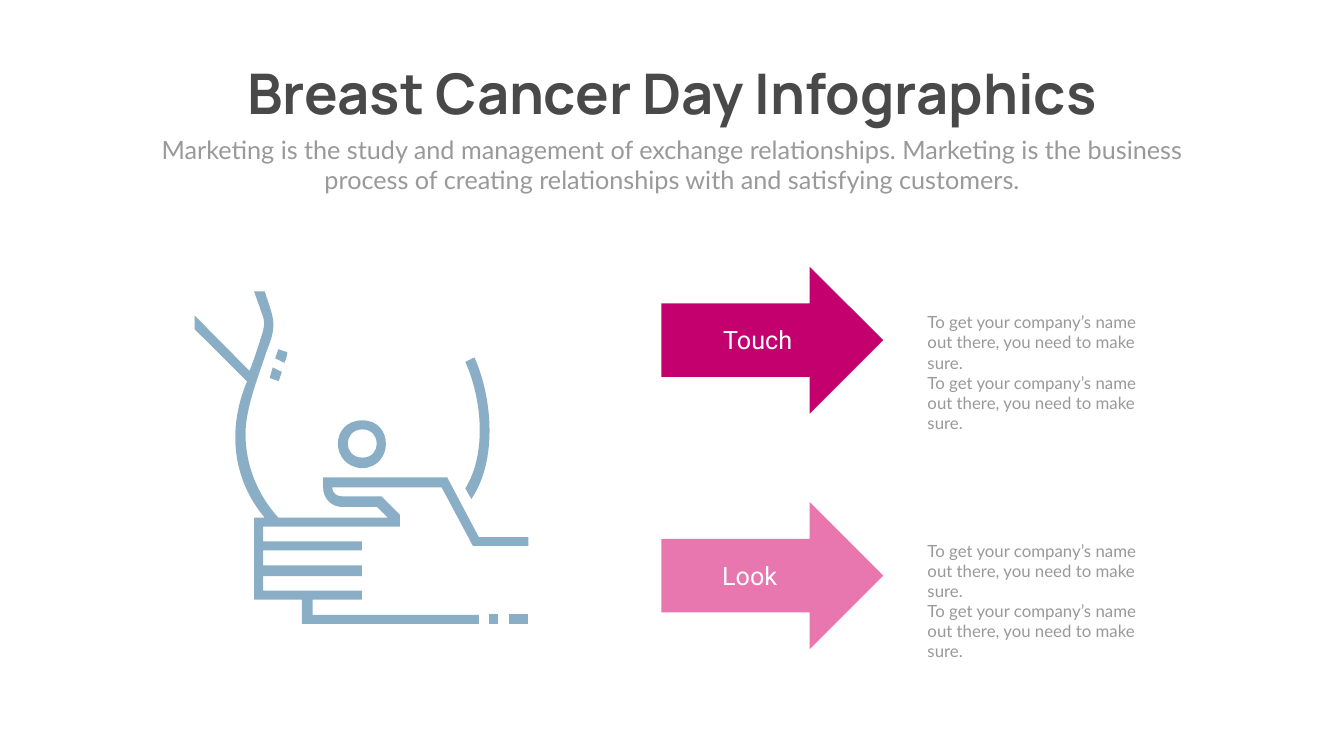
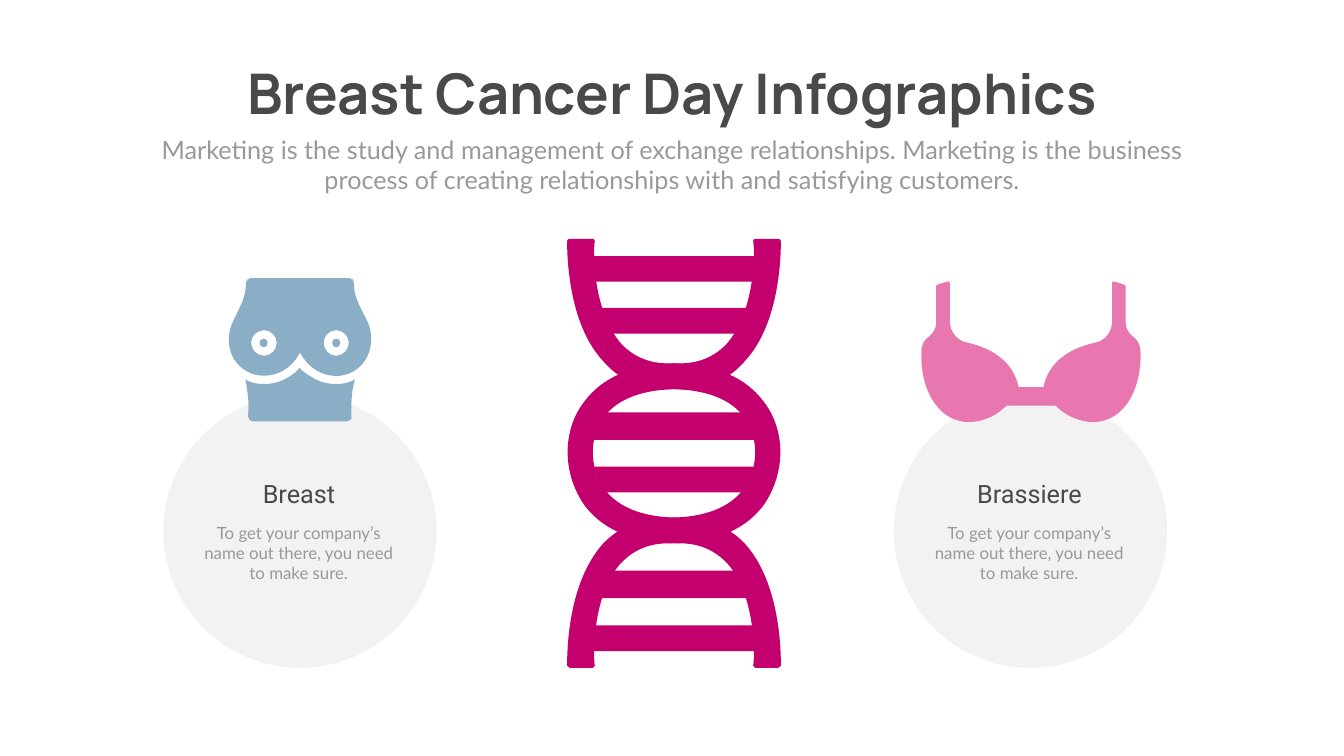
from dataclasses import dataclass
from typing import Iterator, Optional

from pptx import Presentation
from pptx.dml.color import RGBColor
from pptx.enum import shapes, text
from pptx.oxml.ns import qn
from pptx.util import Inches, Pt

# Shared colours and wording
BLUE, MAGENTA, PINK = "8AAEC5", "C4006E", "E876AF"
DARK, GREY, PALE, WHITE = "494949", "999999", "F2F2F2", "FFFFFF"
TITLE = "Breast Cancer Day Infographics"
SUBTITLE = ("Marketing is the study and management of exchange relationships. "
            "Marketing is the business process of creating relationships with "
            "and satisfying customers.")
BODY = "To get your company’s name out there, you need to make sure."
FRAME_FORMAT = {
    "word_wrap": True,
    "auto_size": text.MSO_AUTO_SIZE.SHAPE_TO_FIT_TEXT,
    "vertical_anchor": text.MSO_ANCHOR.TOP,
    "margin_left": Inches(0.1), "margin_right": Inches(0.1),
    "margin_top": Inches(0.05), "margin_bottom": Inches(0.05),
}


@dataclass(frozen=True)
class Box:
    left: float
    top: float
    width: float
    height: float

    def lengths(self) -> list[int]:
        return [Inches(v) for v in (self.left, self.top, self.width, self.height)]


@dataclass(frozen=True)
class TextStyle:
    font: str
    size: float
    color: str
    bold: bool = False
    align: text.PP_ALIGN = text.PP_ALIGN.CENTER


@dataclass(frozen=True)
class Outline:
    """Contours start with M; L and C switch between lines and curves.

    axis is the x position of a vertical mirror line.
    """
    points: str
    axis: Optional[float] = None


@dataclass(frozen=True)
class Vertex:
    x: int
    y: int
    curved: bool


@dataclass(frozen=True)
class Step:
    name: str
    color: str
    arrow: Box
    label: Box
    body: Box


@dataclass(frozen=True)
class Topic:
    name: str
    left: float


HEADING = TextStyle("Manrope", 80, DARK, bold=True)
SUBHEADING = TextStyle("Lato", 36, GREY)
ARROW_LABEL = TextStyle("Roboto", 36, WHITE)
TOPIC_LABEL = TextStyle("Roboto", 36, DARK)
CENTERED_BODY = TextStyle("Lato", 24, GREY)
LEFT_BODY = TextStyle("Lato", 24, GREY, align=text.PP_ALIGN.LEFT)

# Slide 1 content
STEPS = [
    Step("Touch", MAGENTA, Box(13.12, 5.29, 4.4, 2.92),
         Box(13.4, 6.39, 3.26, 0.71), Box(18.3, 6.14, 4.84, 2.12)),
    Step("Look", PINK, Box(13.12, 9.96, 4.4, 2.92),
         Box(13.24, 11.06, 3.26, 0.71), Box(18.3, 10.67, 4.84, 1.72)),
]
SELF_EXAM = [
    Outline("M 5.35,7.5 5.41,7.29 5.59,7.38 5.53,7.56"),
    Outline("M 5.64,7.2 5.46,7.11 C 5.49,7.05 5.49,6.99 5.52,6.93 "
            "L 5.7,6.99 C 5.7,7.05 5.68,7.11 5.64,7.2"),
    Outline("M 9.35,9.9 C 9.88,9.13 9.76,7.86 9.41,7.09 L 9.23,7.18 "
            "C 9.55,7.89 9.67,8.98 9.23,9.69"),
    Outline("M 7.19,9.29 C 7.81,9.26 7.81,8.34 7.19,8.34 6.54,8.34 6.54,9.26 7.19,9.29 "
            "M 7.19,8.52 C 7.57,8.52 7.57,9.08 7.19,9.08 6.8,9.08 6.8,8.52 7.19,8.52"),
    Outline("M 10.1,12.19 10.48,12.19 10.48,12.39 10.1,12.39"),
    Outline("M 9.7,12.19 9.88,12.19 9.88,12.39 9.7,12.39"),
    Outline("M 9.5,10.66 8.87,9.47 6.41,9.47 6.41,9.67 "
            "C 6.41,9.88 6.56,10.06 6.8,10.06 L 7.48,10.06 7.69,10.27 5.52,10.27 "
            "C 5.11,9.82 4.87,9.23 4.87,8.61 4.87,8.1 5.13,7.45 5.31,6.91 "
            "5.52,6.41 5.4,6.26 5.25,5.78 L 5.04,5.78 5.22,6.29 "
            "C 5.28,6.47 5.19,6.64 5.13,6.85 5.07,7.03 5.02,7.18 4.95,7.36 "
            "L 3.86,6.26 3.86,6.53 4.9,7.57 C 4.51,8.49 4.6,9.5 5.25,10.27 "
            "L 5.04,10.27 5.04,11.9 5.99,11.9 5.99,12.38 9.5,12.38 9.5,12.2 "
            "6.2,12.2 6.2,11.9 7.18,11.9 7.18,11.72 5.22,11.72 5.22,11.43 "
            "7.18,11.43 7.18,11.22 5.22,11.22 5.22,10.92 7.18,10.92 7.18,10.74 "
            "5.22,10.74 5.22,10.45 7.93,10.45 7.93,10.21 7.57,9.85 6.8,9.85 "
            "C 6.68,9.85 6.59,9.79 6.59,9.67 L 8.76,9.67 9.38,10.83 10.48,10.83 "
            "10.48,10.66"),
]

# Slide 2 content
TOPICS = [Topic("Breast", 3.24), Topic("Brassiere", 17.73)]
DNA_CENTER = 13.37
RUNGS = [(5.08, 3.57, 0.51), (6.11, 3.06, 0.51), (8.18, 3.31, 0.55),
         (9.26, 3.31, 0.51), (11.32, 3.06, 0.55), (12.41, 3.57, 0.51)]
STRAND = (
    "M 15.15,7.97 C 14.77,7.46 14.14,7.21 13.26,7.21 12.89,7.21 12.59,7.09 12.34,6.84 "
    "11.76,6.2 11.76,4.99 11.8,4.78 11.8,4.74 11.76,4.74 11.76,4.74 L 11.3,4.74 "
    "C 11.3,4.74 11.25,4.74 11.25,4.78 11.25,4.99 11.25,6.41 11.97,7.17 "
    "12.3,7.55 12.72,7.72 13.26,7.72 14.81,7.72 14.98,8.59 14.98,8.97 "
    "14.98,9.35 14.81,10.27 13.26,10.27 12.72,10.27 12.3,10.44 11.97,10.78 "
    "11.25,11.57 11.25,12.96 11.25,13.21 L 11.3,13.25 11.76,13.25 11.8,13.21 "
    "C 11.76,13 11.76,11.74 12.34,11.15 12.59,10.9 12.89,10.78 13.26,10.78 "
    "14.14,10.78 14.77,10.53 15.15,10.02 15.44,9.6 15.48,9.18 15.48,8.97 "
    "15.48,8.76 15.44,8.34 15.15,7.97")
CUP = (
    "M 20.21,7.71 C 20.21,7.71 19.9,8.37 19.21,8.37 18.57,8.37 18.23,7.65 18.28,6.92 "
    "18.3,6.81 18.35,6.73 18.43,6.68 18.51,6.61 18.57,6.52 18.57,6.41 L 18.57,5.69 "
    "C 18.57,5.68 18.58,5.65 18.6,5.65 L 18.79,5.59 "
    "C 18.81,5.58 18.84,5.59 18.84,5.62 L 18.84,6.38 "
    "C 18.84,6.58 18.97,6.76 19.18,6.8 19.63,6.9 20.1,7.14 20.21,7.71")
BRASSIERE = [
    Outline("M 20.21,7.68 20.68,7.68 21.02,8.05 19.9,8.05"),
    Outline(CUP),
    Outline("M 19.18,6.8 C 18.98,6.76 18.84,6.58 18.84,6.38 L 18.84,5.62 "
            "C 18.84,5.59 18.81,5.58 18.79,5.59 L 18.6,5.65 "
            "C 18.58,5.65 18.57,5.68 18.57,5.69 L 18.57,6.38 "
            "C 18.57,6.58 18.72,6.76 18.92,6.8 19.36,6.9 19.82,7.13 19.94,7.67 "
            "19.95,7.69 19.94,7.72 19.92,7.75 19.86,7.88 19.59,8.3 19.08,8.37 "
            "L 19.21,8.37 C 19.9,8.37 20.21,7.71 20.21,7.71 "
            "20.1,7.14 19.63,6.9 19.18,6.8"),
    Outline(CUP, axis=20.45),
    Outline("M 22.6,6.92 C 22.59,6.81 22.55,6.73 22.47,6.68 "
            "22.37,6.61 22.32,6.52 22.32,6.41 L 22.32,5.69 "
            "C 22.32,5.68 22.31,5.65 22.29,5.65 L 22.1,5.59 "
            "C 22.09,5.58 22.06,5.59 22.06,5.62 L 22.06,6.41 "
            "C 22.06,6.52 22.12,6.61 22.2,6.68 22.28,6.73 22.33,6.81 22.35,6.92 "
            "22.4,7.61 22.1,8.28 21.55,8.37 L 21.68,8.37 "
            "C 22.32,8.37 22.67,7.65 22.6,6.92"),
]
NIPPLE = ("M 5.23,6.72 C 5.18,6.72 5.15,6.75 5.15,6.8 5.15,6.86 5.18,6.89 5.23,6.89 "
          "5.28,6.89 5.31,6.86 5.31,6.8 5.31,6.75 5.28,6.72 5.23,6.72")
TORSO = [
    Outline("M 6.67,7.62 C 6.5,7.62 6.33,7.58 6.18,7.48 6.09,7.43 6.01,7.37 5.94,7.3 "
            "5.89,7.37 5.81,7.43 5.73,7.48 5.57,7.58 5.41,7.62 5.24,7.62 "
            "5.1,7.62 4.98,7.6 4.87,7.53 4.9,7.7 4.93,7.89 4.93,8.09 "
            "4.93,8.14 4.93,8.21 4.92,8.26 4.92,8.29 4.93,8.31 4.95,8.33 "
            "4.97,8.34 4.98,8.36 5,8.36 L 6.9,8.36 "
            "C 6.92,8.36 6.94,8.34 6.95,8.33 6.97,8.31 6.99,8.29 6.97,8.26 "
            "6.97,8.21 6.97,8.14 6.97,8.09 6.97,7.89 6.99,7.7 7.04,7.53 "
            "6.92,7.6 6.8,7.62 6.67,7.62"),
    Outline(NIPPLE, axis=5.95),
    Outline(NIPPLE),
    Outline("M 7.26,6.32 C 7.07,5.96 7.02,5.83 7.02,5.61 7.02,5.56 6.99,5.52 6.94,5.52 "
            "L 4.97,5.52 C 4.92,5.52 4.88,5.56 4.88,5.61 4.88,5.83 4.83,5.96 4.65,6.32 "
            "4.55,6.5 4.51,6.72 4.56,6.92 4.61,7.13 4.73,7.28 4.92,7.38 "
            "5.27,7.56 5.74,7.41 5.94,7.01 L 5.96,7.01 "
            "C 6.11,7.29 6.38,7.46 6.67,7.46 6.79,7.46 6.89,7.43 6.99,7.38 "
            "7.17,7.28 7.29,7.13 7.34,6.92 7.39,6.72 7.36,6.5 7.26,6.32 "
            "M 5.24,7.06 C 5.1,7.06 4.98,6.94 4.98,6.8 4.98,6.67 5.1,6.55 5.24,6.55 "
            "5.37,6.55 5.49,6.67 5.49,6.8 5.49,6.94 5.37,7.06 5.24,7.06 "
            "M 6.67,7.06 C 6.53,7.06 6.42,6.94 6.42,6.8 6.42,6.67 6.53,6.55 6.67,6.55 "
            "6.8,6.55 6.92,6.67 6.92,6.8 6.92,6.94 6.8,7.06 6.67,7.06"),
]


# Drawing helpers
def rgb(color: str) -> RGBColor:
    return RGBColor.from_string(color)


def paint(shape, color: str) -> None:
    shape.shadow.inherit = False
    shape.fill.solid()
    shape.fill.fore_color.rgb = rgb(color)
    shape.line.fill.background()


def add_preset(container, kind: shapes.MSO_SHAPE, box: Box, color: str) -> None:
    paint(container.shapes.add_shape(kind, *box.lengths()), color)


def write(shape, lines: list[str], style: TextStyle) -> None:
    frame = shape.text_frame
    for name, value in FRAME_FORMAT.items():
        setattr(frame, name, value)
    frame.text = "\n".join(lines)
    font_format = {"name": style.font, "size": Pt(style.size), "bold": style.bold}
    for paragraph in frame.paragraphs:
        paragraph.alignment = style.align
        font = paragraph.runs[0].font
        for name, value in font_format.items():
            setattr(font, name, value)
        font.color.rgb = rgb(style.color)


def add_text(slide, box: Box, lines: list[str], style: TextStyle) -> None:
    write(slide.shapes.add_textbox(*box.lengths()), lines, style)


def contours(outline: Outline) -> Iterator[list[Vertex]]:
    for contour in outline.points.split("M")[1:]:
        vertices, curved = [], False
        for token in contour.split():
            if token in ("L", "C"):
                curved = token == "C"
                continue
            x, y = map(float, token.split(","))
            if outline.axis is not None:
                x = 2 * outline.axis - x
            vertices.append(Vertex(Inches(x), Inches(y), curved))
        yield vertices


def bend(shape, flags: list[bool]) -> None:
    """Join each three flagged line segments into one Bézier curve."""
    lines = list(shape.element.iter(qn("a:lnTo")))
    flagged = [line for line, curved in zip(lines, flags) if curved]
    for first, second, third in zip(flagged[::3], flagged[1::3], flagged[2::3]):
        first.tag = qn("a:cubicBezTo")
        for line in (second, third):
            first.append(line[0])
            line.getparent().remove(line)


def add_outlines(group, outlines: list[Outline], color: str) -> None:
    for outline in outlines:
        builder, flags = None, []
        for start, *rest in contours(outline):
            if builder is None:
                builder = group.shapes.build_freeform(start.x, start.y)
            else:
                builder.move_to(start.x, start.y)
            builder.add_line_segments([(v.x, v.y) for v in rest], close=True)
            flags += [v.curved for v in rest]
        shape = builder.convert_to_shape()
        bend(shape, flags)
        paint(shape, color)


def add_slide(presentation):
    slide = presentation.slides.add_slide(presentation.slide_layouts[5])
    title = slide.shapes.title
    title.left, title.top, title.width, title.height = Box(4.06, 1.12, 18.55, 1.45).lengths()
    write(title, [TITLE], HEADING)
    add_text(slide, Box(2.92, 2.61, 20.82, 1.31), [SUBTITLE], SUBHEADING)
    return slide


# Slides
def build_steps_slide(presentation) -> None:
    slide = add_slide(presentation)
    add_outlines(slide.shapes.add_group_shape(), SELF_EXAM, BLUE)
    for step in STEPS:
        add_preset(slide, shapes.MSO_SHAPE.RIGHT_ARROW, step.arrow, step.color)
        add_text(slide, step.label, [step.name], ARROW_LABEL)
        add_text(slide, step.body, [BODY, BODY], LEFT_BODY)


def build_topics_slide(presentation) -> None:
    slide = add_slide(presentation)
    dna = slide.shapes.add_group_shape()
    for top, width, height in RUNGS:
        add_preset(dna, shapes.MSO_SHAPE.RECTANGLE,
                   Box(DNA_CENTER - width / 2, top, width, height), MAGENTA)
    add_outlines(dna, [Outline(STRAND), Outline(STRAND, axis=DNA_CENTER)], MAGENTA)
    for topic in TOPICS:
        add_preset(slide, shapes.MSO_SHAPE.OVAL, Box(topic.left, 7.83, 5.42, 5.42), PALE)
        add_text(slide, Box(topic.left + 0.68, 10.32, 4.01, 1.31), [BODY], CENTERED_BODY)
        add_text(slide, Box(topic.left + 1.06, 9.45, 3.26, 0.71), [topic.name], TOPIC_LABEL)
    add_outlines(slide.shapes.add_group_shape(), BRASSIERE, PINK)
    add_outlines(slide.shapes.add_group_shape(), TORSO, BLUE)


def main() -> None:
    presentation = Presentation()
    presentation.slide_width, presentation.slide_height = Inches(26.66), Inches(15)
    build_steps_slide(presentation)
    build_topics_slide(presentation)
    presentation.save("out.pptx")


if __name__ == "__main__":
    main()
